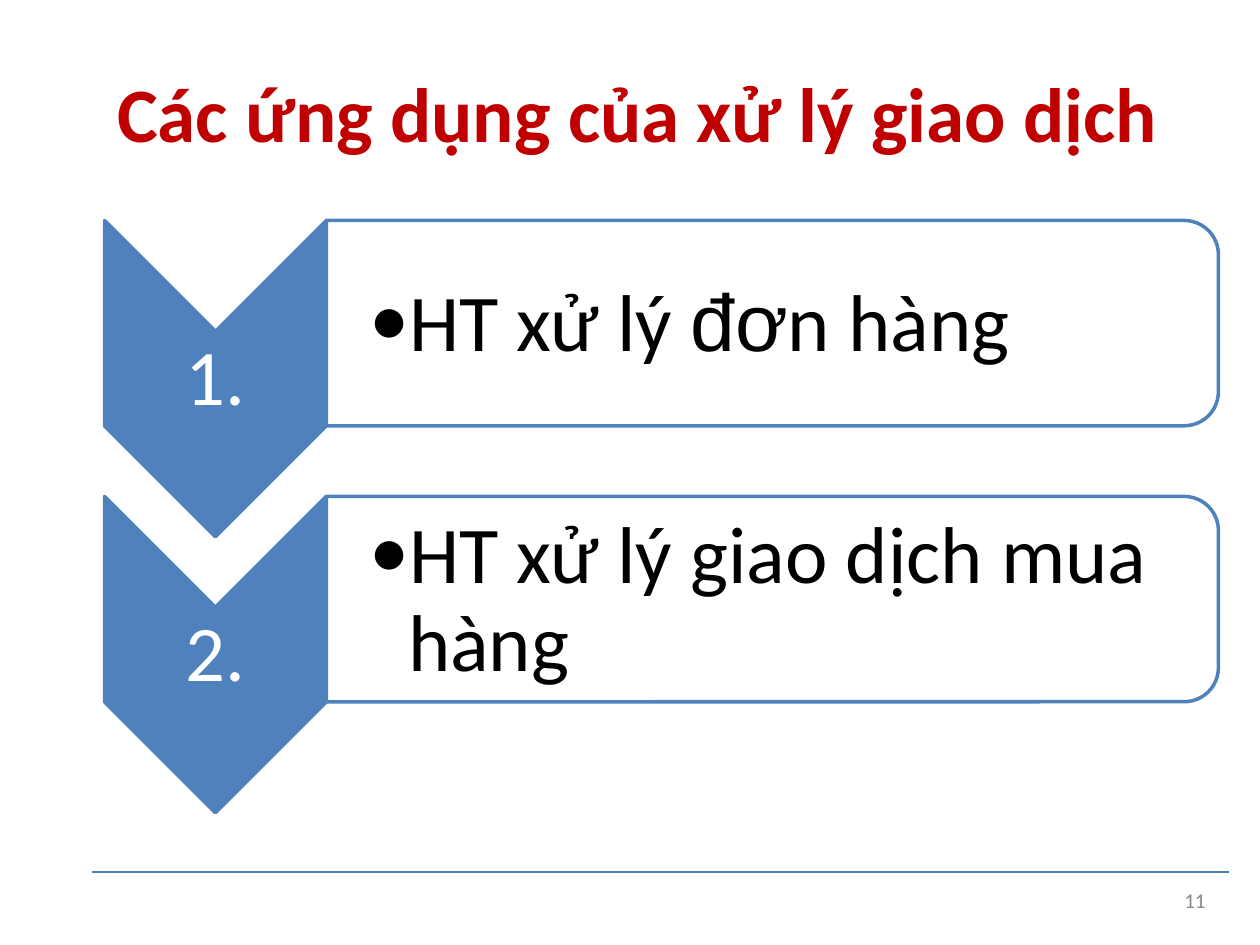
from pptx import Presentation
from pptx.dml.color import RGBColor
from pptx.enum.shapes import MSO_CONNECTOR, MSO_SHAPE
from pptx.enum.text import MSO_ANCHOR, MSO_AUTO_SIZE, PP_ALIGN
from pptx.oxml.ns import qn
from pptx.util import Inches, Pt
from lxml import etree

ROUNDED_END = MSO_SHAPE.ROUND_2_SAME_RECTANGLE
TOP, MIDDLE = MSO_ANCHOR.TOP, MSO_ANCHOR.MIDDLE
LEFT, CENTER = PP_ALIGN.LEFT, PP_ALIGN.CENTER

BLUE, RED, WHITE, BLACK, GRAY = "4F81BC", "C00000", "FFFFFF", "000000", "888888"

# Grid: two columns, one row per application
CHEVRON_X, PANEL_X, PANEL_END = 0.83, 2.59, 9.67
ROW_TOP, ROW_PITCH, ROW_H = 1.75, 2.19, 1.63
CHEVRON_W = PANEL_X - CHEVRON_X
NOTCH = CHEVRON_W / 2
TEXT_X, BULLET_INDENT = 2.93, 0.31

ROWS = [
    ("1.", [("HT xử lý ", "Calibri"), ("đơ", "Arial"), ("n hàng", "Calibri")]),
    ("2.", [("HT xử lý giao dịch mua hàng", "Calibri")]),
]


def rgb(color):
    return RGBColor.from_string(color)


def place(sp, x, y, w, h):
    sp.left, sp.top, sp.width, sp.height = (Inches(v) for v in (x, y, w, h))


def add_bullet(p):
    pPr = p._p.get_or_add_pPr()
    pPr.set("marL", str(Inches(BULLET_INDENT)))
    pPr.set("indent", str(-Inches(BULLET_INDENT)))
    etree.SubElement(pPr, qn("a:buFont")).set("typeface", "Calibri")
    etree.SubElement(pPr, qn("a:buChar")).set("char", "•")


def set_text(tf, runs, size=12, color=BLACK, bold=False, align=LEFT,
             anchor=TOP, line=None, bottom=0, bullet=False):
    tf.word_wrap = True
    tf.auto_size = MSO_AUTO_SIZE.NONE
    tf.vertical_anchor = anchor
    tf.margin_left = tf.margin_right = tf.margin_top = 0
    tf.margin_bottom = Inches(bottom)
    p = tf.paragraphs[0]
    p.alignment = align
    p.space_before = Pt(0)
    if line:
        p.line_spacing = Pt(line)
    if bullet:
        add_bullet(p)
    for text, font in runs:
        r = p.add_run()
        r.text = text
        r.font.name, r.font.size, r.font.bold = font, Pt(size), bold
        r.font.color.rgb = rgb(color)


def style(sp, fill):
    sp.shadow.inherit = False
    sp.fill.solid()
    sp.fill.fore_color.rgb = rgb(fill)
    sp.line.color.rgb = rgb(BLUE)
    sp.line.width = Pt(2)


def add_chevron(s, y, number):
    mid, low = CHEVRON_X + NOTCH, y + ROW_H
    points = [(PANEL_X, y), (mid, y + NOTCH), (CHEVRON_X, y),
              (CHEVRON_X, low), (mid, low + NOTCH), (PANEL_X, low)]
    points = [(Inches(px), Inches(py)) for px, py in points]
    builder = s.shapes.build_freeform(*points[0])
    builder.add_line_segments(points[1:], close=True)
    sp = builder.convert_to_shape()
    style(sp, BLUE)
    set_text(sp.text_frame, [(number, "Calibri")], size=45, color=WHITE,
             align=CENTER, anchor=MIDDLE, bottom=0.08)


def add_panel(s, y):
    # Turned a quarter so that the rounded corners face right
    length = PANEL_END - PANEL_X
    sp = s.shapes.add_shape(ROUNDED_END, 0, 0, 0, 0)
    place(sp, PANEL_X + (length - ROW_H) / 2, y + (ROW_H - length) / 2, ROW_H, length)
    sp.rotation = 90
    style(sp, WHITE)


def add_list(s, ph, y, runs):
    s.shapes._spTree.append(ph._element)  # in front of the panel
    place(ph, TEXT_X, y, PANEL_END - TEXT_X - 0.3, ROW_H)
    set_text(ph.text_frame, runs, size=46, anchor=MIDDLE, line=50.6, bullet=True)


def add_footer(s):
    rule = s.shapes.add_connector(MSO_CONNECTOR.STRAIGHT, Inches(0.73), Inches(6.92),
                                  Inches(9.75), Inches(6.92))
    rule.line.color.rgb = rgb("497DBA")
    rule.line.width = Pt(0.78)
    etree.SubElement(rule._element.spPr, qn("a:effectLst"))
    box = s.shapes.add_textbox(Inches(9.4), Inches(7.07), Inches(0.27), Inches(0.19))
    set_text(box.text_frame, [("11", "Calibri")], color=GRAY, line=12.4)


def main():
    prs = Presentation()
    prs.slide_width, prs.slide_height = Inches(10), Inches(7.5)
    s = prs.slides.add_slide(prs.slide_layouts[3])  # title and two lists
    title, *lists = s.placeholders

    # Title
    place(title, 0.93, 0.52, 8.4, 0.76)
    set_text(title.text_frame, [("Các ứng dụng của xử lý giao dịch", "Calibri")],
             size=44, color=RED, bold=True)

    # Numbered rows
    for i, (ph, (number, runs)) in enumerate(zip(lists, ROWS)):
        y = ROW_TOP + i * ROW_PITCH
        add_chevron(s, y, number)
        add_panel(s, y)
        add_list(s, ph, y, runs)

    add_footer(s)
    prs.save("out.pptx")


if __name__ == "__main__":
    main()
